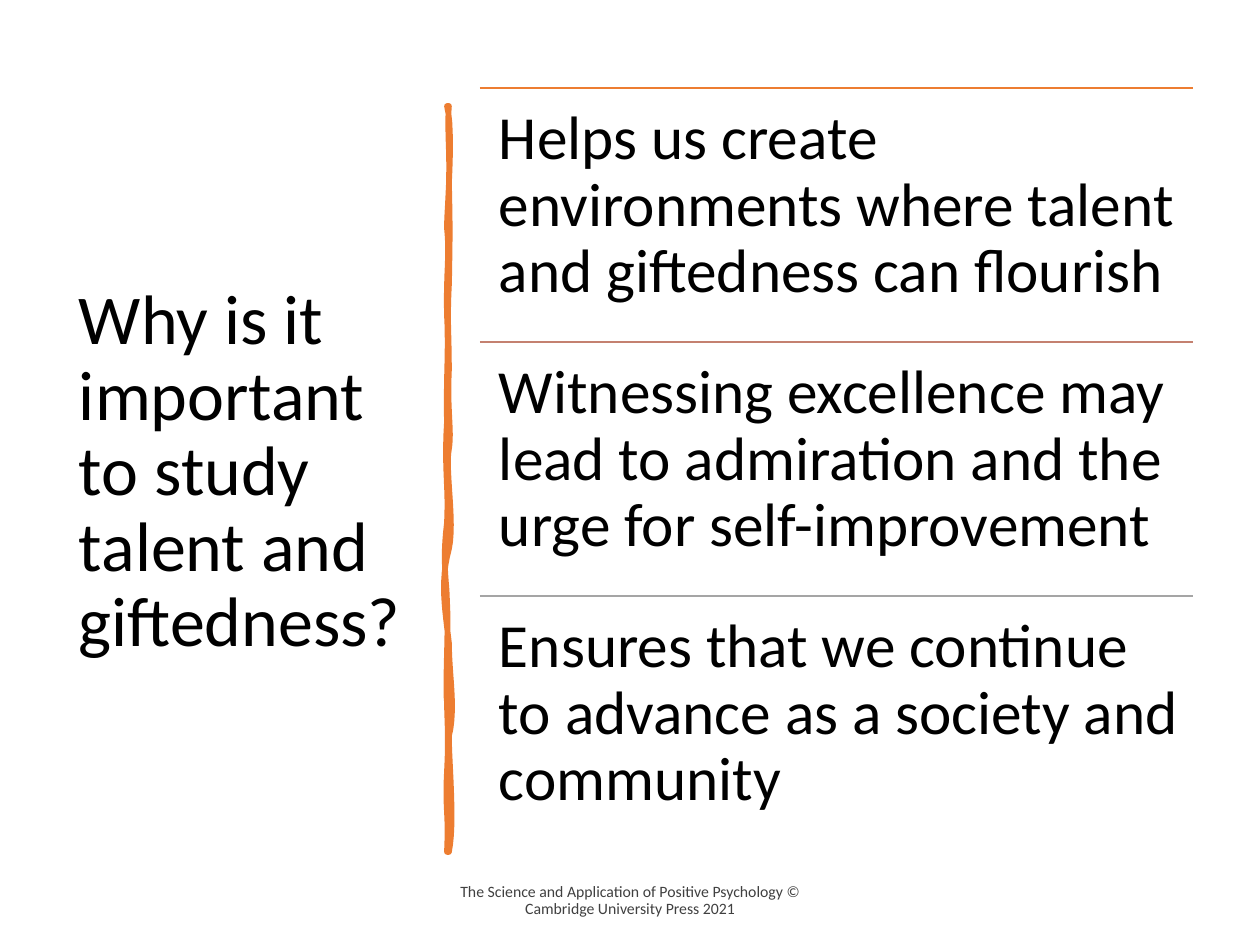
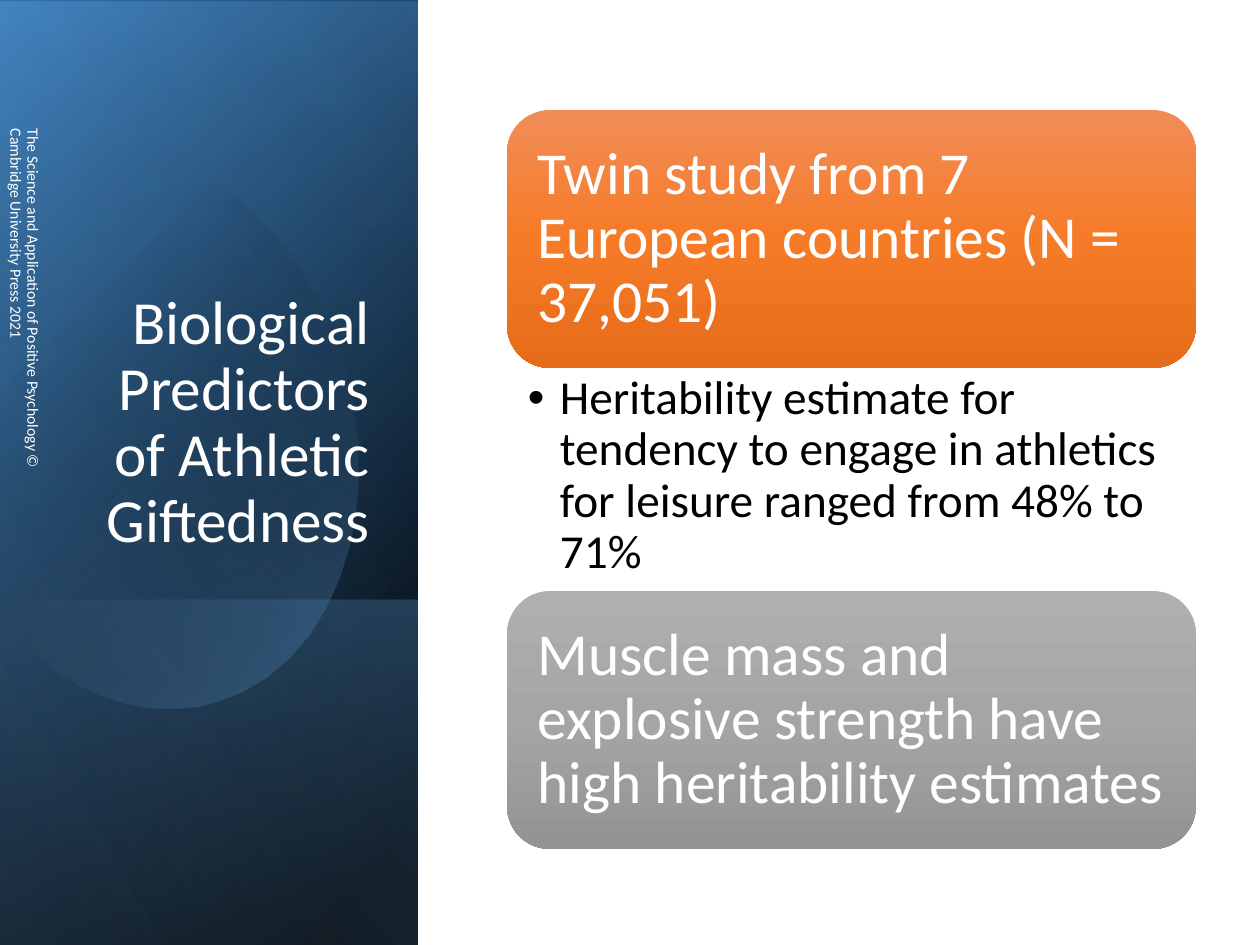
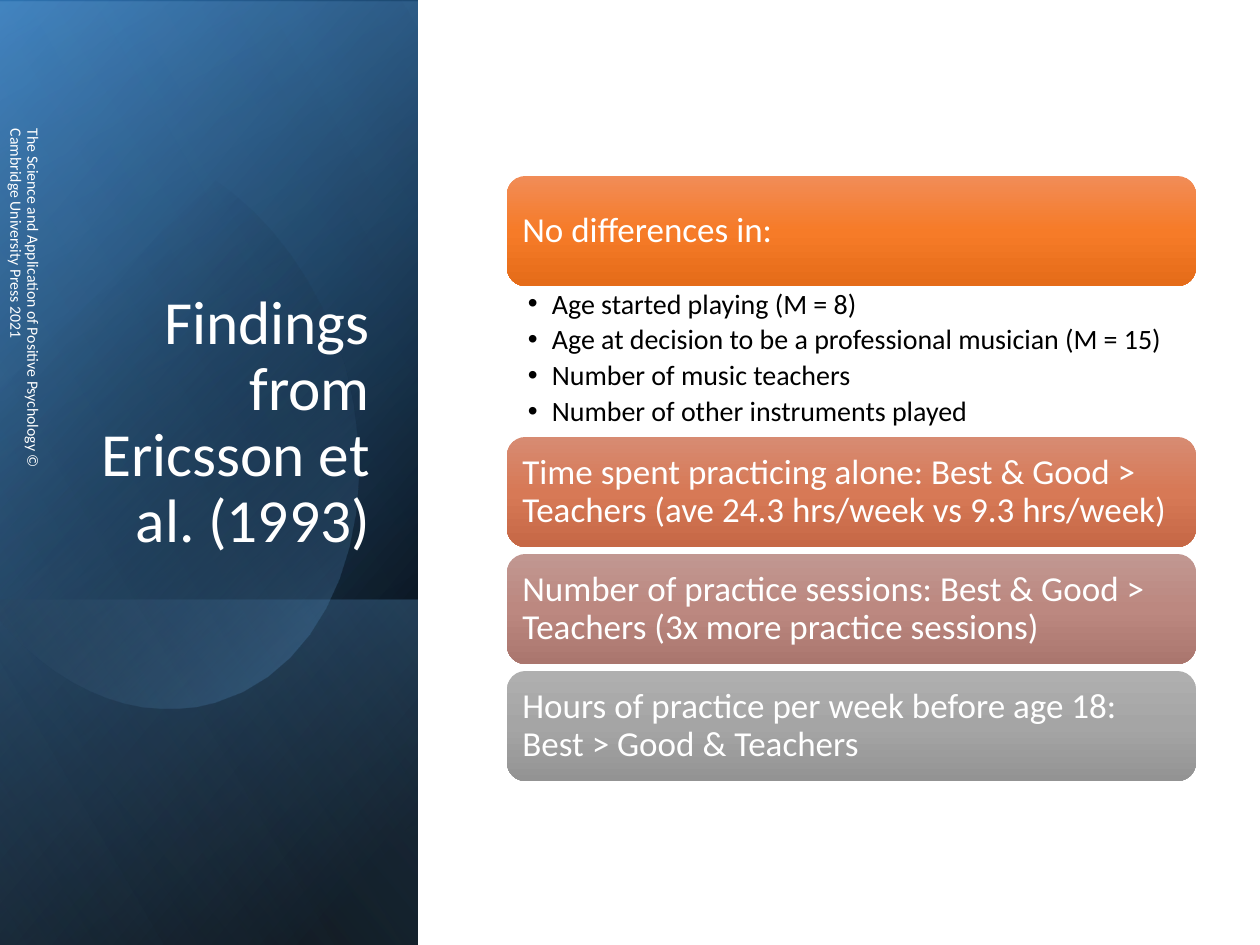
"""Build three slides on talent, giftedness and practice."""
from dataclasses import dataclass
from typing import NamedTuple

from lxml.etree import SubElement
from pptx import Presentation
from pptx.dml.color import RGBColor
from pptx.enum.shapes import MSO_CONNECTOR, MSO_SHAPE
from pptx.enum.text import MSO_ANCHOR, MSO_AUTO_SIZE, PP_ALIGN
from pptx.oxml.ns import qn
from pptx.util import Emu, Pt

EMU_PER_PX = 914400 / 126
FOOTER = "The Science and Application of Positive Psychology © Cambridge University Press 2021"


@dataclass(frozen=True)
class Theme:
    """Colours, font and type sizes of the deck."""

    font: str = "Calibri"
    black: str = "000000"
    white: str = "FFFFFF"
    grey: str = "404040"
    brush: str = "ED7D31"
    rules: tuple = ("ED7D31", "C48170", "A5A5A5")
    navy: str = "2E75B6"
    blue: str = "5B9BD5"
    sky: str = "9DC3E6"
    orange: tuple = ("F18C57", "F67B28", "E56C19")
    rust: tuple = ("D78B72", "D77956", "C66846")
    rose: tuple = ("C19791", "BC8880", "AA766E")
    silver: tuple = ("AFAFAF", "A5A5A5", "939393")
    question_size: int = 40
    reason_size: int = 35
    title_size: int = 35
    footer_size: int = 9
    large_card_size: int = 34
    large_list_size: int = 27
    small_card_size: int = 20
    small_list_size: int = 16


THEME = Theme()


class Frame(NamedTuple):
    """A rectangle in px."""

    left: int
    top: int
    width: int
    height: int


class Stop(NamedTuple):
    """A gradient stop, with position and opacity in percent."""

    position: int
    color: str
    opacity: int = 100


class Panel(NamedTuple):
    """A layer of the blue side band as it appears after its quarter turn."""

    frame: Frame
    stops: tuple
    angle: int


class Card(NamedTuple):
    """A rounded heading with an optional list below it."""

    heading: str
    tints: tuple
    bullets: tuple = ()


class CardStyle(NamedTuple):
    """Measures of one stack of cards, in px and points."""

    top: int
    height: int
    gap: int
    inset: int
    size: int
    list_height: int
    list_insets: tuple
    list_size: int
    indent: int


BAND = Frame(0, 0, 418, 945)
PANELS = (
    Panel(BAND, (Stop(8, THEME.black), Stop(100, THEME.navy)), 50),
    Panel(BAND._replace(top=2), (Stop(0, THEME.black, 0), Stop(99, THEME.blue, 46)), 30),
    Panel(Frame(0, 600, 418, 345), (Stop(2, THEME.blue, 29), Stop(100, THEME.black, 30)), 130),
)
SHEEN = Panel(BAND, (Stop(0, THEME.black, 0), Stop(99, THEME.sky, 11)), 120)
OVAL_STOPS = (Stop(29, THEME.black, 0), Stop(100, THEME.blue, 43))
OVAL_ANGLE = 46
OVAL = (
    ((121, 144),),
    ((215, 154), (307, 242), (344, 365)),
    ((387, 519), (330, 669), (215, 702)),
    ((144, 723), (67, 693), (9, 630)),
    ((-4, 615),),
    ((-32, 209),),
    ((-19, 194),),
    ((2, 173), (28, 158), (57, 149)),
    ((78, 142), (100, 141), (121, 144)),
)
BRUSH = (
    ((449, 106),),
    ((447, 130), (450, 146), (449, 184)),
    ((450, 219), (450, 241), (449, 285)),
    ((447, 325), (449, 330), (449, 370)),
    ((447, 410), (452, 431), (449, 449)),
    ((445, 469), (455, 522), (449, 549)),
    ((440, 582), (445, 609), (449, 643)),
    ((449, 674), (456, 709), (449, 736)),
    ((449, 764), (455, 823), (449, 852)),
    ((447, 852),),
    ((449, 813), (445, 811), (447, 772)),
    ((449, 735), (447, 718), (447, 702)),
    ((445, 688), (449, 622), (447, 601)),
    ((447, 582), (442, 563), (447, 523)),
    ((449, 486), (444, 470), (447, 422)),
    ((446, 378), (449, 352), (447, 315)),
    ((446, 272), (450, 256), (447, 228)),
    ((447, 208), (454, 131), (447, 106)),
)
REASONS = (
    "Helps us create environments where talent and giftedness can flourish",
    "Witnessing excellence may lead to admiration and the urge for self-improvement",
    "Ensures that we continue to advance as a society and community",
)
TWIN_CARDS = (
    Card("Twin study from 7 European countries (N = 37,051)", THEME.orange, (
        "Heritability estimate for tendency to engage in athletics for leisure ranged from 48% to 71%",
    )),
    Card("Muscle mass and explosive strength have high heritability estimates", THEME.silver),
)
PRACTICE_CARDS = (
    Card("No differences in:", THEME.orange, (
        "Age started playing (M = 8)",
        "Age at decision to be a professional musician (M = 15)",
        "Number of music teachers",
        "Number of other instruments played",
    )),
    Card("Time spent practicing alone: Best & Good > Teachers (ave 24.3 hrs/week vs 9.3 hrs/week)",
         THEME.rust),
    Card("Number of practice sessions: Best & Good > Teachers (3x more practice sessions)",
         THEME.rose),
    Card("Hours of practice per week before age 18: Best > Good & Teachers", THEME.silver),
)
LARGE_CARDS = CardStyle(110, 258, 7, 18, THEME.large_card_size,
                        223, (21, 6, 33, 6), THEME.large_list_size, 32)
SMALL_CARDS = CardStyle(176, 110, 7, 10, THEME.small_card_size,
                        151, (21, 4, 20, 4), THEME.small_list_size, 24)


def px(length: float) -> Emu:
    """Turn px into EMU."""
    return Emu(round(length * EMU_PER_PX))


def place(shape, frame: Frame) -> None:
    """Move and size a shape."""
    shape.left, shape.top, shape.width, shape.height = map(px, frame)


def format_frame(shape, anchor, insets: tuple = (13, 6, 13, 6)) -> None:
    """Set wrapping, anchor and insets of a text frame."""
    frame = shape.text_frame
    frame.auto_size = MSO_AUTO_SIZE.NONE
    frame.word_wrap = True
    frame.vertical_anchor = anchor
    (frame.margin_left, frame.margin_top,
     frame.margin_right, frame.margin_bottom) = map(px, insets)


def format_para(para, size: int, color: str, align=PP_ALIGN.LEFT) -> None:
    """Set spacing, alignment and font of a paragraph."""
    para.alignment = align
    para.line_spacing = 0.9
    para.space_before = Pt(0)
    para.font.name = THEME.font
    para.font.size = Pt(size)
    para.font.color.rgb = RGBColor.from_string(color)


def write(shape, text: str, size: int, color: str, align=PP_ALIGN.LEFT) -> None:
    """Write one formatted paragraph into a shape."""
    shape.text_frame.text = text
    format_para(shape.text_frame.paragraphs[0], size, color, align)


def fill_gradient(shape, stops: tuple, angle: int) -> None:
    """Give a shape a linear gradient, no outline and no shadow."""
    shape.shadow.inherit = False
    shape.line.fill.background()
    shape.fill.gradient()
    gradient = shape.element.spPr.find(qn("a:gradFill"))
    gradient.find(qn("a:lin")).set("ang", str(angle * 60000))
    stop_list = gradient.find(qn("a:gsLst"))
    stop_list.clear()
    for stop in stops:
        entry = SubElement(stop_list, qn("a:gs"), pos=str(stop.position * 1000))
        color = SubElement(entry, qn("a:srgbClr"), val=stop.color)
        if stop.opacity < 100:
            SubElement(color, qn("a:alpha"), val=str(stop.opacity * 1000))


def add_outline(page, segments: tuple, steps: int = 12):
    """Add a closed freeform from points and sampled cubic curves."""
    start = segments[0][0]
    points = [start]
    for segment in segments[1:]:
        if len(segment) == 1:
            points.append(segment[0])
            continue
        corners = (points[-1], *segment)
        for step in range(1, steps + 1):
            t = step / steps
            weights = ((1 - t) ** 3, 3 * t * (1 - t) ** 2, 3 * t * t * (1 - t), t ** 3)
            points.append(tuple(sum(weight * corner[axis] for weight, corner in zip(weights, corners))
                                for axis in (0, 1)))
    builder = page.shapes.build_freeform(px(start[0]), px(start[1]), scale=1.0)
    builder.add_line_segments([(px(x), px(y)) for x, y in points[1:]], close=True)
    return builder.convert_to_shape()


def add_panel(page, panel: Panel) -> None:
    """Add a mirrored rectangle turned by 90 degrees that fills the panel's frame."""
    left, top, width, height = panel.frame
    shift = (width - height) / 2
    shape = page.shapes.add_shape(
        MSO_SHAPE.RECTANGLE, *map(px, (left + shift, top - shift, height, width)))
    shape.rotation = 90
    shape.element.spPr.get_or_add_xfrm().set("flipH", "1")
    fill_gradient(shape, panel.stops, panel.angle)


def add_text(page, frame: Frame, text: str, size: int, color: str, anchor,
             align=PP_ALIGN.LEFT, insets: tuple = (13, 6, 13, 6)):
    """Add a wrapped text box with one paragraph."""
    box = page.shapes.add_textbox(*map(px, frame))
    format_frame(box, anchor, insets)
    write(box, text, size, color, align)
    return box


def set_title(page, text: str, frame: Frame, size: int, color: str, anchor, align) -> None:
    """Fill the title placeholder and bring it in front of the band."""
    title = page.shapes.title
    place(title, frame)
    format_frame(title, anchor)
    write(title, text, size, color, align)
    title.element.getparent().append(title.element)


def fill_list(body, bullets: tuple, frame: Frame, style: CardStyle) -> None:
    """Fill the body placeholder with a bulleted list."""
    place(body, frame)
    format_frame(body, MSO_ANCHOR.TOP, style.list_insets)
    body.text_frame.text = "\n".join(bullets)
    for para in body.text_frame.paragraphs:
        properties = para._p.get_or_add_pPr()
        properties.set("marL", str(px(style.indent)))
        properties.set("indent", str(-px(style.indent)))
        SubElement(properties, qn("a:buChar"), char="•")
        format_para(para, style.list_size, THEME.black)
        para.space_after = Pt(style.list_size * 0.2)


def add_cards(page, cards: tuple, style: CardStyle) -> None:
    """Stack the cards and their list from top to bottom."""
    top = style.top
    for card in cards:
        frame = Frame(507, top, 689, style.height)
        shape = page.shapes.add_shape(MSO_SHAPE.ROUNDED_RECTANGLE, *map(px, frame))
        fill_gradient(shape, tuple(map(Stop, (0, 50, 100), card.tints)), 90)
        format_frame(shape, MSO_ANCHOR.MIDDLE, (style.inset,) * 4)
        write(shape, card.heading, style.size, THEME.white)
        top += style.height
        if card.bullets:
            list_frame = frame._replace(top=top, height=style.list_height)
            fill_list(page.placeholders[1], card.bullets, list_frame, style)
            top += style.list_height
        else:
            top += style.gap


def add_reasons_page(deck) -> None:
    """Add the slide with a question on the left and ruled reasons on the right."""
    page = deck.slides.add_slide(deck.slide_layouts[5])
    set_title(page, "Why is it important to study talent and giftedness?",
              Frame(66, 88, 353, 770), THEME.question_size, THEME.black,
              MSO_ANCHOR.MIDDLE, PP_ALIGN.LEFT)
    brush = add_outline(page, BRUSH)
    brush.shadow.inherit = False
    brush.fill.solid()
    brush.fill.fore_color.rgb = RGBColor.from_string(THEME.brush)
    brush.line.color.rgb = RGBColor.from_string(THEME.brush)
    brush.line.width = Pt(3.25)
    add_text(page, Frame(417, 876, 426, 50), FOOTER, THEME.footer_size, THEME.grey,
             MSO_ANCHOR.MIDDLE, PP_ALIGN.CENTER)
    for index, (reason, color) in enumerate(zip(REASONS, THEME.rules)):
        row = Frame(480, 88 + 254 * index, 713, 254)
        rule = page.shapes.add_connector(
            MSO_CONNECTOR.STRAIGHT, px(row.left), px(row.top),
            px(row.left + row.width), px(row.top))
        rule.line.color.rgb = RGBColor.from_string(color)
        rule.line.width = Pt(1)
        SubElement(rule.element.spPr, qn("a:effectLst"))
        add_text(page, row, reason, THEME.reason_size, THEME.black,
                 MSO_ANCHOR.TOP, insets=(19, 19, 10, 19))


def add_cards_page(deck, title: str, cards: tuple, style: CardStyle) -> None:
    """Add a slide with the blue side band and a stack of cards."""
    page = deck.slides.add_slide(deck.slide_layouts[1])
    for panel in PANELS:
        add_panel(page, panel)
    fill_gradient(add_outline(page, OVAL), OVAL_STOPS, OVAL_ANGLE)
    add_panel(page, SHEEN)
    set_title(page, title, Frame(60, 232, 323, 330), THEME.title_size, THEME.white,
              MSO_ANCHOR.BOTTOM, PP_ALIGN.RIGHT)
    footer = add_text(page, Frame(-189, 304, 426, 50), FOOTER, THEME.footer_size,
                      THEME.white, MSO_ANCHOR.MIDDLE)
    footer.rotation = 90
    add_cards(page, cards, style)


def main() -> None:
    """Build and save the deck."""
    deck = Presentation()
    deck.slide_width, deck.slide_height = px(1260), px(945)
    add_reasons_page(deck)
    add_cards_page(deck, "Biological Predictors of Athletic Giftedness", TWIN_CARDS, LARGE_CARDS)
    add_cards_page(deck, "Findings from Ericsson et al. (1993)", PRACTICE_CARDS, SMALL_CARDS)
    deck.save("out.pptx")


if __name__ == "__main__":
    main()
